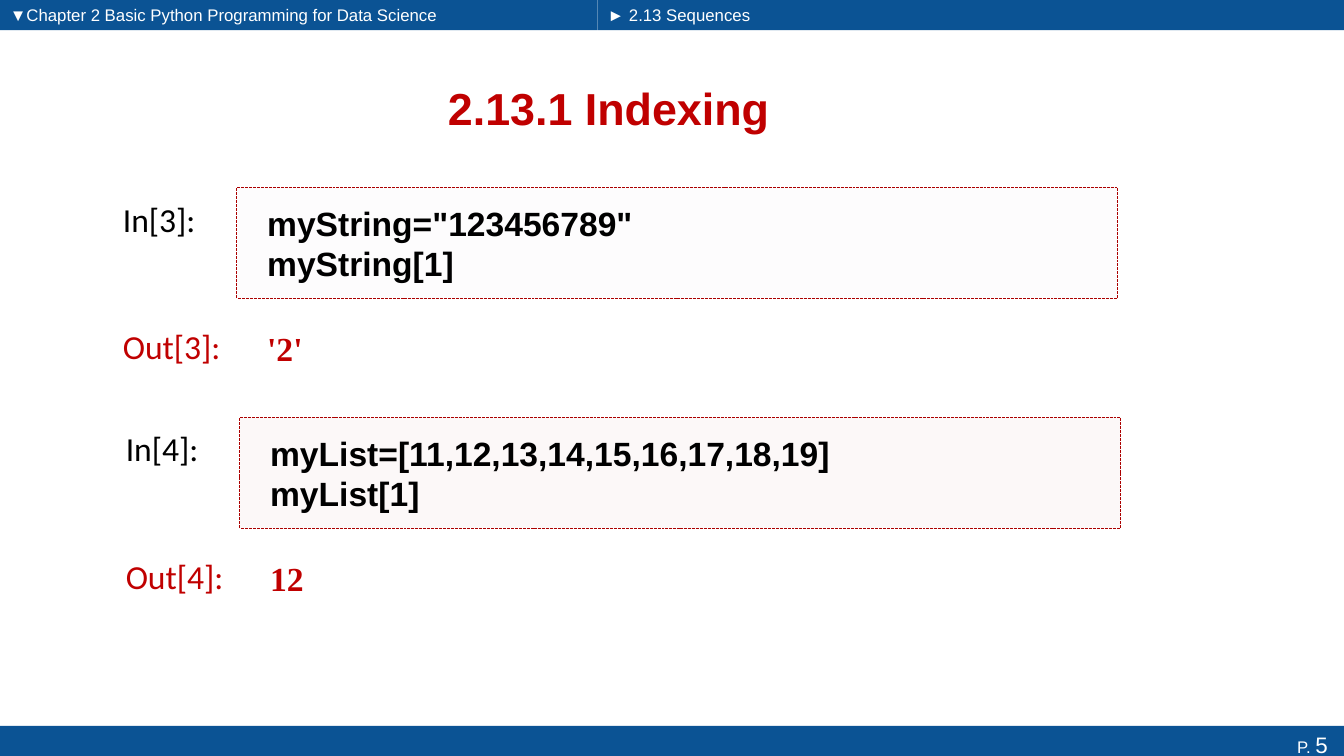
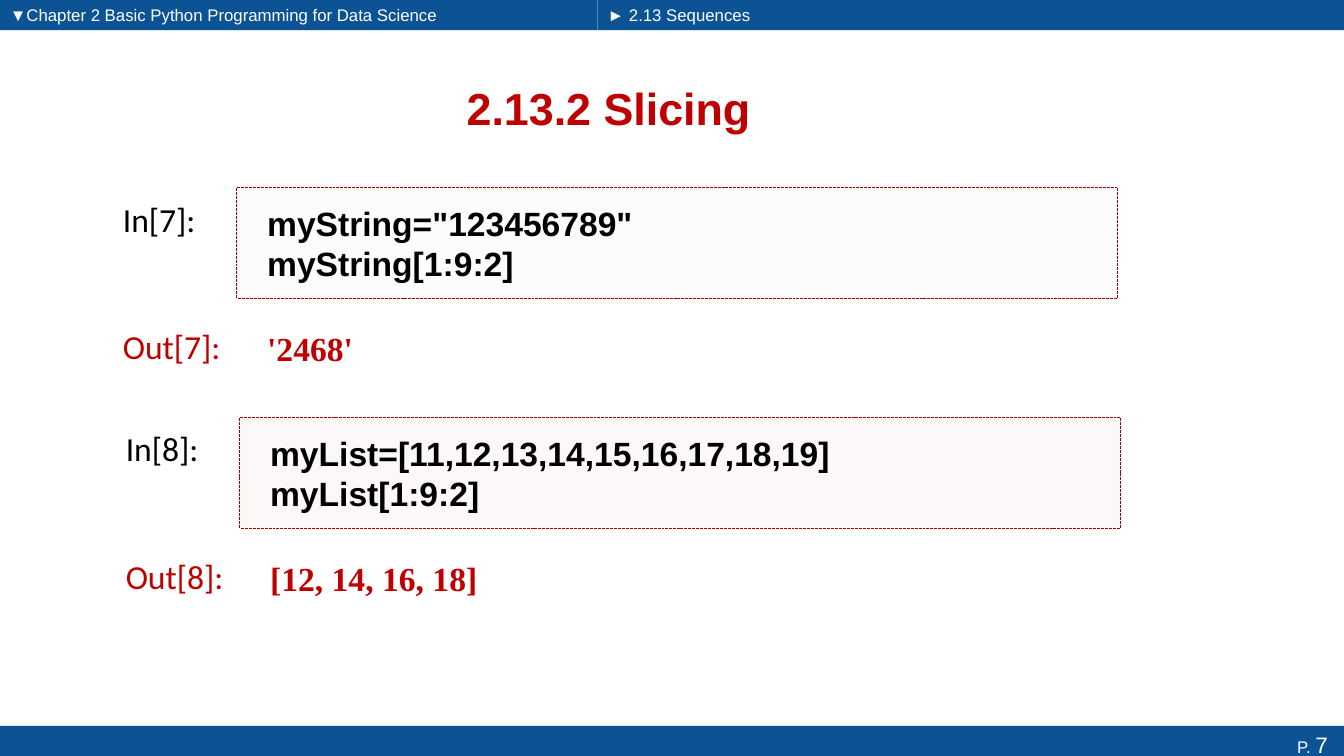
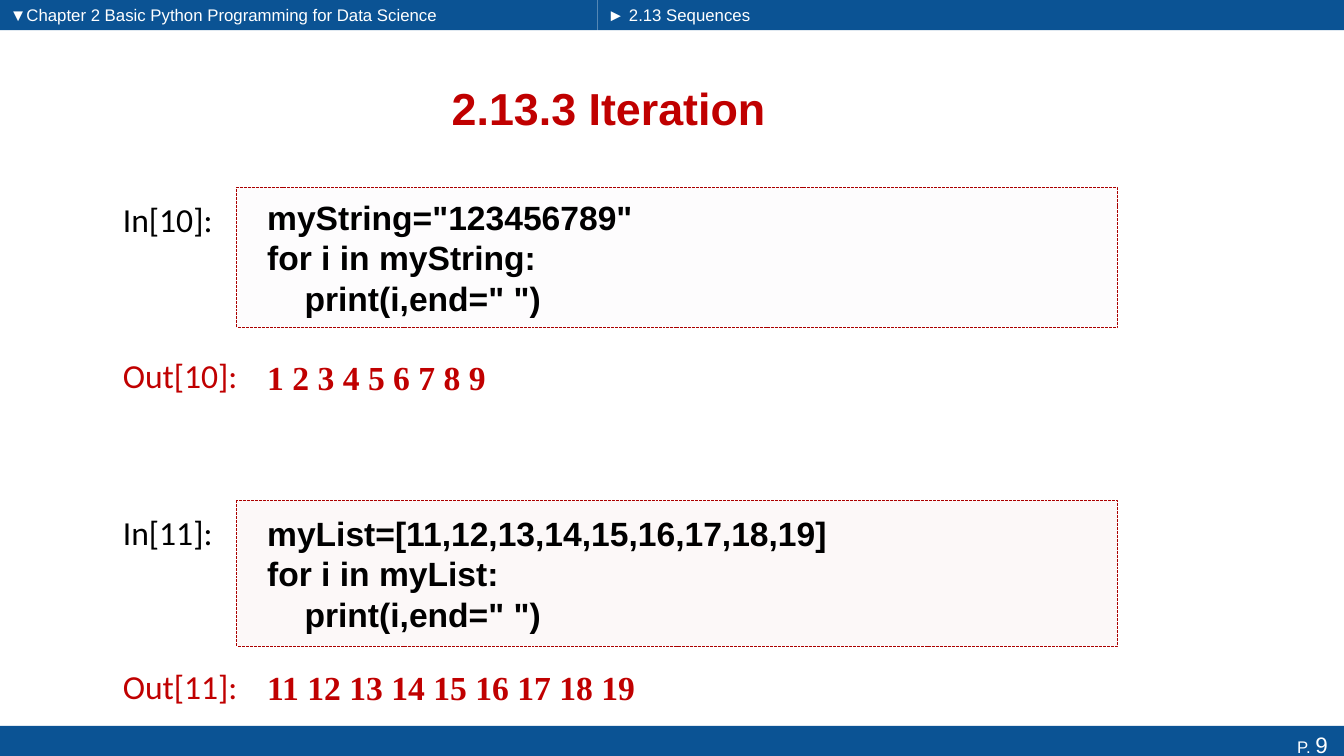
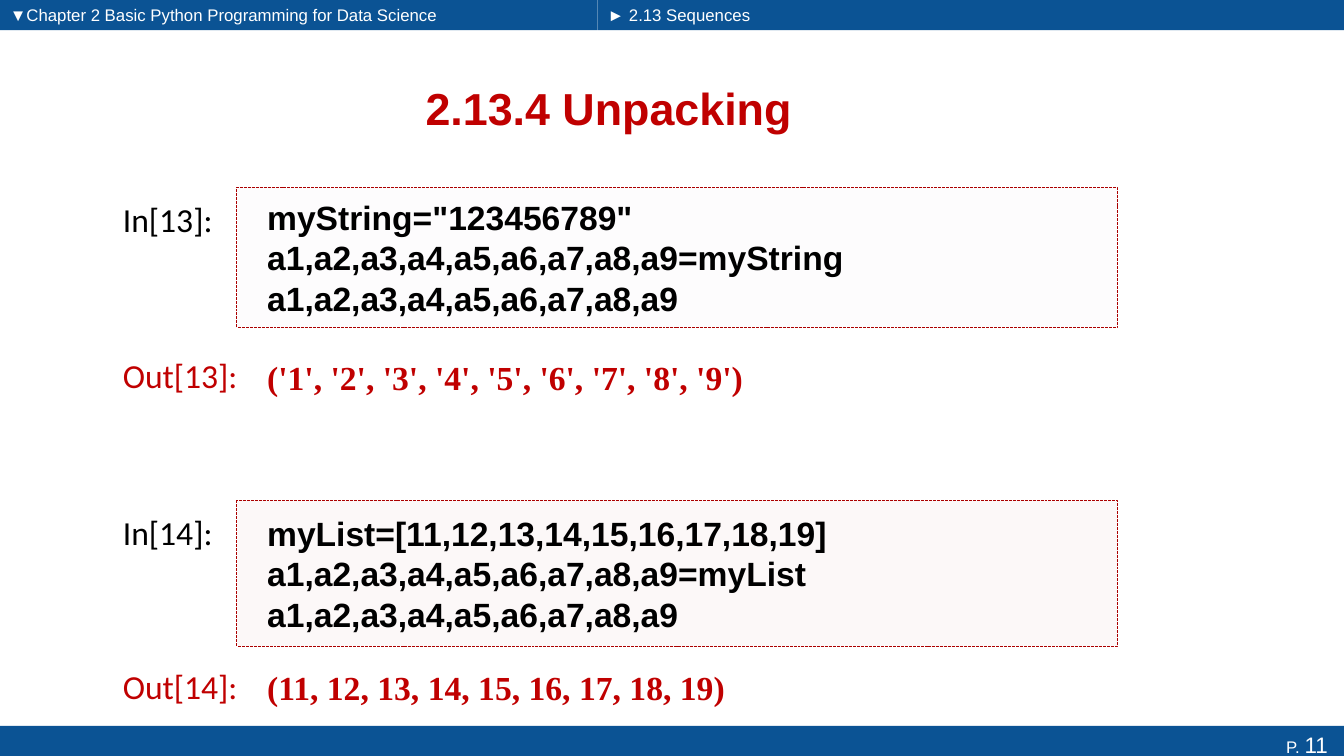
"""Builds four slides on indexing, slicing, iterating and unpacking Python sequences."""
from lxml.etree import SubElement
from pptx import Presentation
from pptx.dml.color import RGBColor
from pptx.enum.dml import MSO_LINE
from pptx.enum.shapes import MSO_SHAPE
from pptx.enum.text import MSO_ANCHOR, PP_ALIGN
from pptx.oxml.ns import qn
from pptx.util import Inches, Pt

BLUE = RGBColor(0x0B, 0x53, 0x94)
RED = RGBColor(0xC0, 0x00, 0x00)
DARK_RED = RGBColor(0xAB, 0x00, 0x00)
LAVENDER = RGBColor(0xF1, 0xEE, 0xF4)
PINK = RGBColor(0xED, 0xCD, 0xCB)
BLACK = RGBColor(0x00, 0x00, 0x00)
WHITE = RGBColor(0xFF, 0xFF, 0xFF)

HEADERS = [
    (0, 44.48, "▼Chapter 2 Basic Python Programming for Data Science"),
    (44.48, 55.52, "► 2.13 Sequences"),
]
LABEL_OFFSET, LABEL_DROP, LABEL_HEIGHT = 9.23, 0.8, 6.67
CODE_WIDTH, ANSWER_HEIGHT = 65.55, 8.67
CODE_INDENT = Pt(26.7)

SHORT_CELLS = [(17.63, 24.8, 14.67, 2.2), (17.85, 55.2, 14.67, 2.2)]
TALL_CELLS = [(17.63, 24.8, 18.53, 2.2), (17.63, 66.27, 19.2, 1.1)]
STRING = 'myString="123456789"'
LIST = "myList=[11,12,13,14,15,16,17,18,19]"
NAMES = "a1,a2,a3,a4,a5,a6,a7,a8,a9"
PRINT = 'print(i,end=" ")'

SLIDES = [
    (5, "2.13.1 Indexing", SHORT_CELLS, [
        (3, [STRING, "myString[1]"], "'2'"),
        (4, [LIST, "myList[1]"], "12")]),
    (7, "2.13.2 Slicing", SHORT_CELLS, [
        (7, [STRING, "myString[1:9:2]"], "'2468'"),
        (8, [LIST, "myList[1:9:2]"], "[12, 14, 16, 18]")]),
    (9, "2.13.3 Iteration", TALL_CELLS, [
        (10, [STRING, "for i in myString:", PRINT], "1 2 3 4 5 6 7 8 9"),
        (11, [LIST, "for i in myList:", PRINT], "11 12 13 14 15 16 17 18 19")]),
    (11, "2.13.4 Unpacking", TALL_CELLS, [
        (13, [STRING, NAMES + "=myString", NAMES],
         "('1', '2', '3', '4', '5', '6', '7', '8', '9')"),
        (14, [LIST, NAMES + "=myList", NAMES],
         "(11, 12, 13, 14, 15, 16, 17, 18, 19)")]),
]

deck = Presentation()
deck.slide_width, deck.slide_height = Inches(13.33), Inches(7.5)
COLUMN, ROW = deck.slide_width / 100, deck.slide_height / 100


def add_box(page, left, top, width, height, fill=None):
    """Adds a filled rectangle, or a text box without fill, on a grid of 100 by 100."""
    place = [int(left * COLUMN), int(top * ROW), int(width * COLUMN), int(height * ROW)]
    if fill is None:
        box = page.shapes.add_textbox(*place)
    else:
        box = page.shapes.add_shape(MSO_SHAPE.RECTANGLE, *place)
        box.shadow.inherit = False
        box.fill.solid()
        box.fill.fore_color.rgb = fill
        box.line.fill.background()
    box.text_frame.word_wrap = True
    box.text_frame.vertical_anchor = MSO_ANCHOR.TOP
    return box


def write(box, text, font, size, color, bold=False, align=PP_ALIGN.LEFT):
    """Sets the text of a box and formats all its runs."""
    box.text_frame.text = text
    for para in box.text_frame.paragraphs:
        para.alignment = align
        for span in para.runs:
            span.font.name, span.font.size, span.font.bold = font, Pt(size), bold
            span.font.color.rgb = color


for number, title, cells, examples in SLIDES:
    page = deck.slides.add_slide(deck.slide_layouts[6])

    for left, width, heading in HEADERS:
        add_box(page, left, 0, width, 4, BLUE)
    for left, width, heading in HEADERS:
        write(add_box(page, left, 0, width, 3.87), heading, "Arial", 12, WHITE)

    footer = add_box(page, 0, 96, 100, 4.93, BLUE)
    footer.text_frame.text = "P. "
    footer.text_frame.paragraphs[0].add_run().text = f"{number} "
    for span, size in zip(footer.text_frame.paragraphs[0].runs, (12, 16)):
        span.font.name, span.font.size = "Arial", Pt(size)
        span.font.color.rgb = WHITE
    footer.text_frame.paragraphs[0].alignment = PP_ALIGN.RIGHT

    title_box = add_box(page, 5.1, 8.27, 80.4, 12)
    title_box.text_frame.vertical_anchor = MSO_ANCHOR.MIDDLE
    write(title_box, title, "Arial", 32, RED, True, PP_ALIGN.CENTER)

    for cell, tint, example in zip(cells, (LAVENDER, PINK), examples):
        left, top, height, gap = cell
        count, lines, answer = example
        answer_top = top + height + gap

        code_box = add_box(page, left, top, CODE_WIDTH, height, tint)
        tint_color = code_box.element.spPr.find(".//" + qn("a:srgbClr"))
        SubElement(tint_color, qn("a:alpha")).set("val", "13000")
        code_box.line.color.rgb = DARK_RED
        code_box.line.width = Pt(0.7)
        code_box.line.dash_style = MSO_LINE.SQUARE_DOT
        write(code_box, "\n".join(lines), "Arial", 24, BLACK, True)
        for previous, para in zip(lines, code_box.text_frame.paragraphs[1:]):
            if previous.endswith(":"):
                para._p.get_or_add_pPr().set("marL", str(CODE_INDENT))

        answer_box = add_box(page, left, answer_top, CODE_WIDTH, ANSWER_HEIGHT)
        write(answer_box, answer, "Times New Roman", 24, RED, True)
        for box in (code_box, answer_box):
            box.text_frame.vertical_anchor = MSO_ANCHOR.MIDDLE
            box.text_frame.margin_left = Inches(0.3)

        for word, label_top, width, color in (
                ("In", top, 8.32, BLACK), ("Out", answer_top, 10.13, RED)):
            label = add_box(page, left - LABEL_OFFSET, label_top + LABEL_DROP, width, LABEL_HEIGHT)
            write(label, f"{word}[{count}]:", "Calibri", 24, color)

deck.save("out.pptx")
